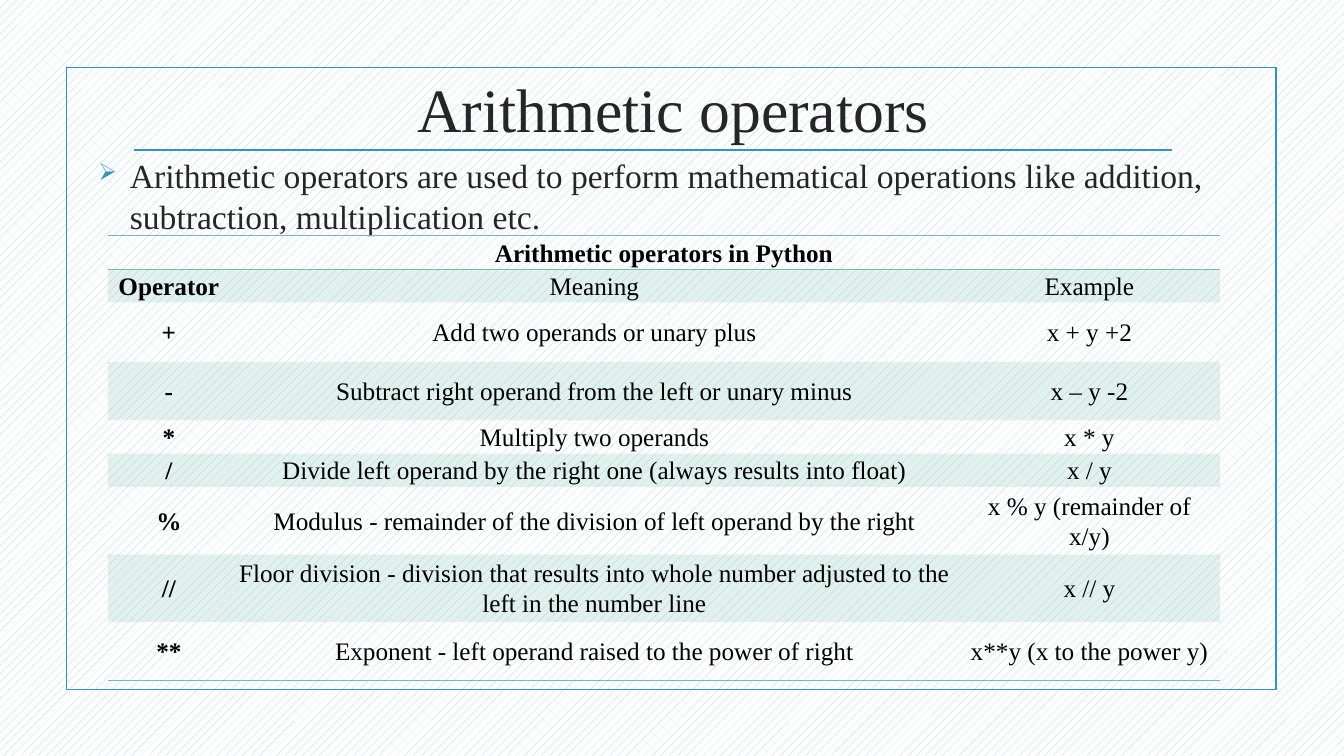
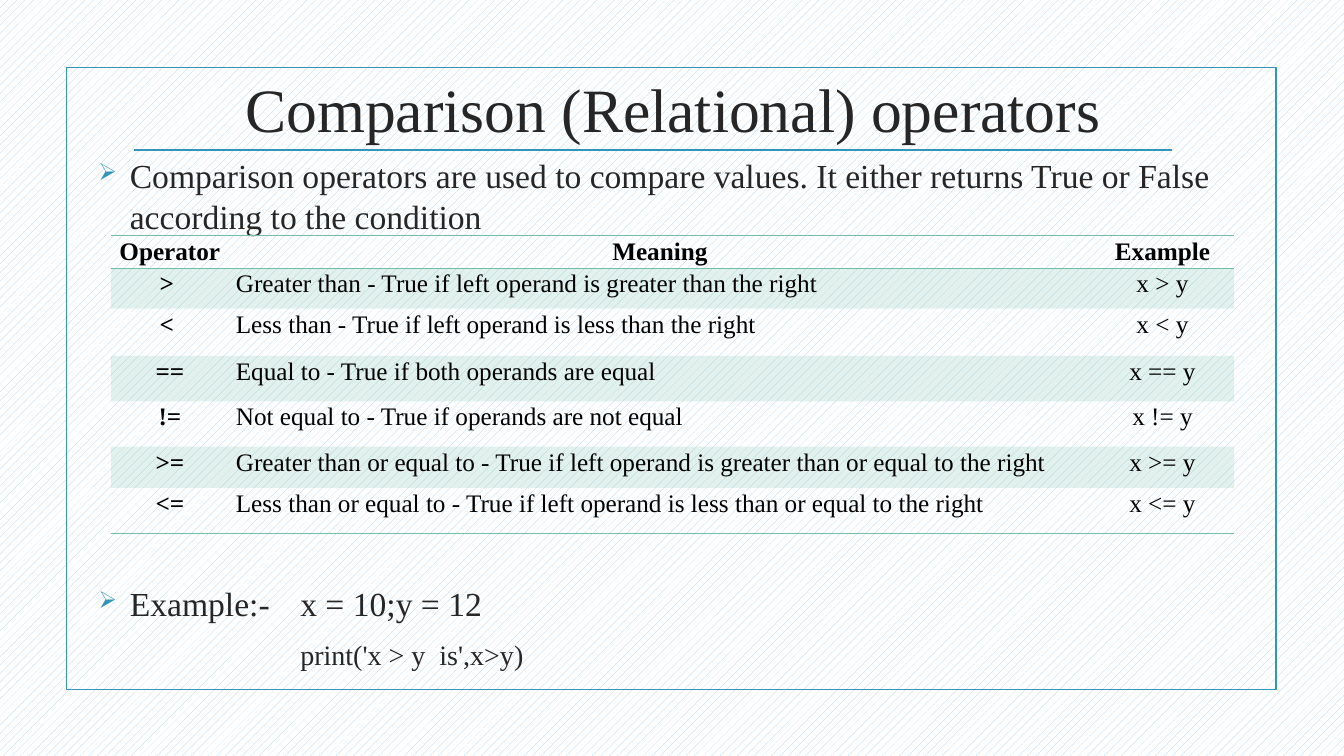
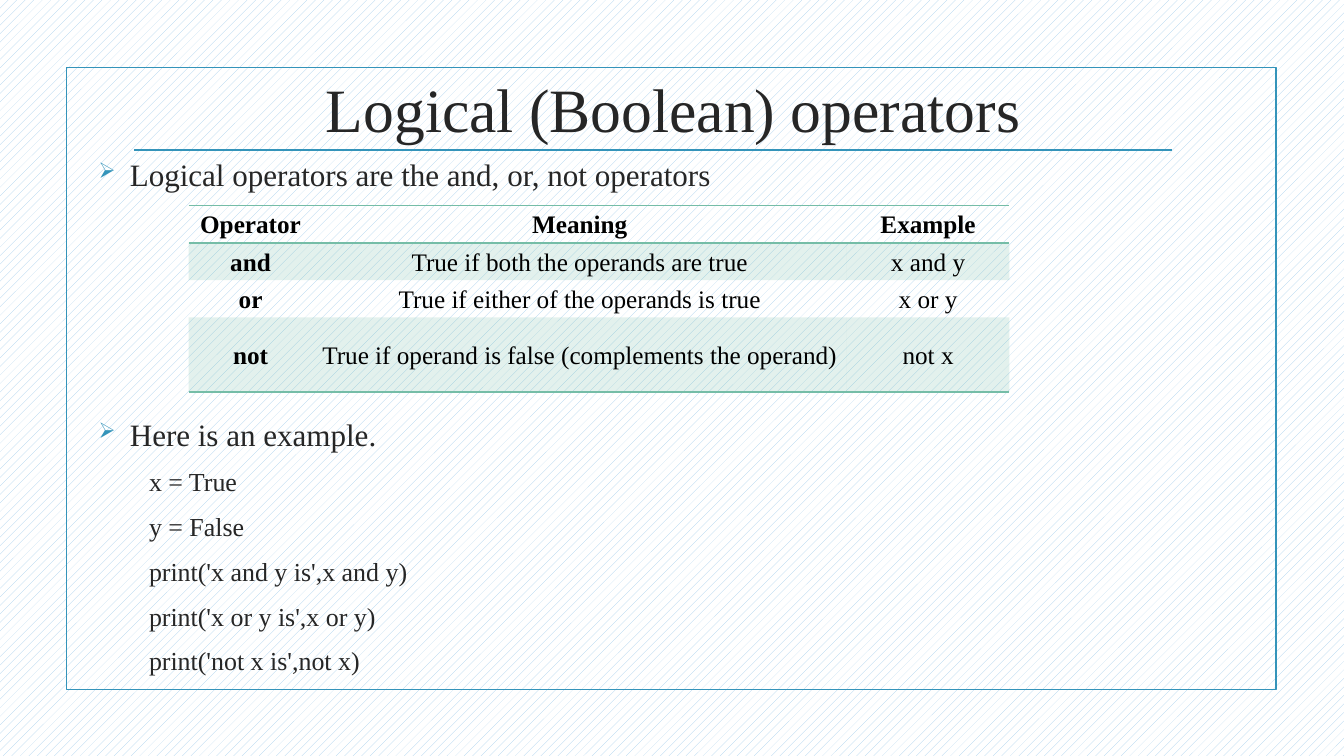
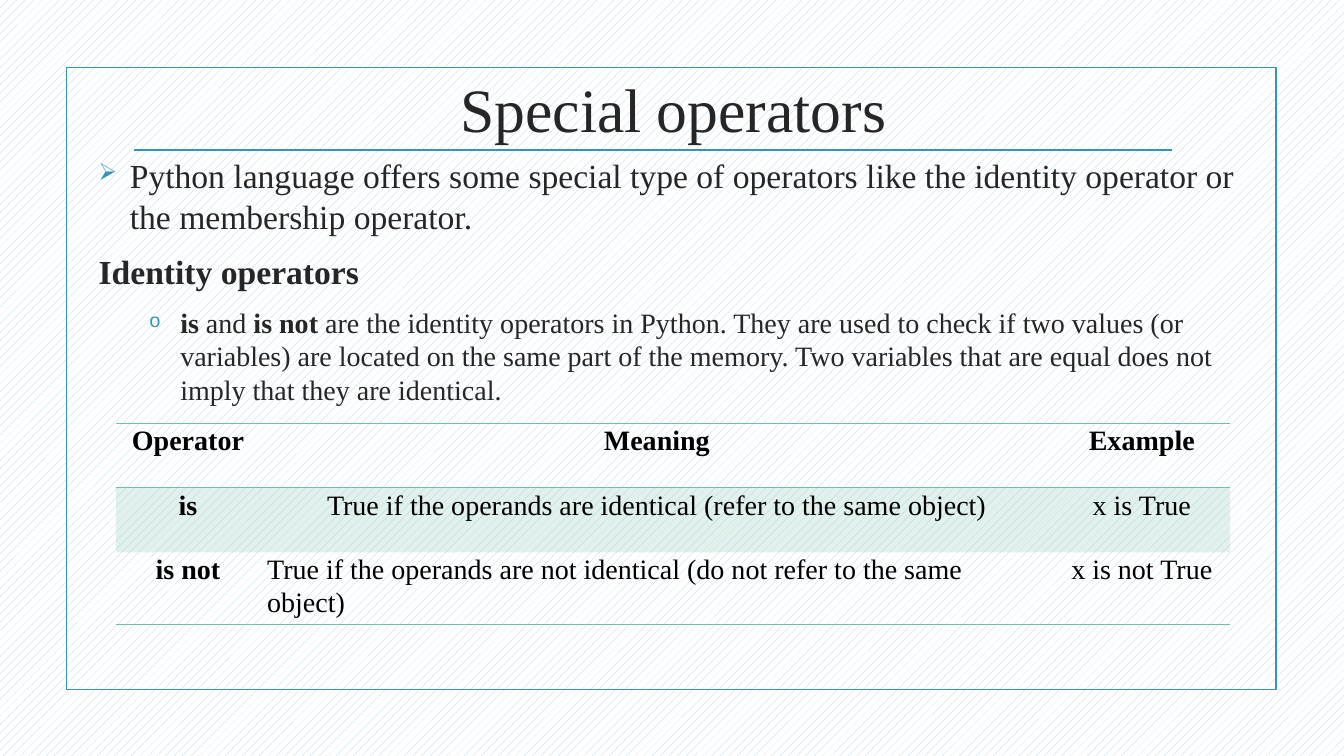
from lxml.etree import SubElement
from pptx import Presentation
from pptx.dml.color import RGBColor
from pptx.enum.dml import MSO_PATTERN
from pptx.enum.shapes import MSO_CONNECTOR, MSO_SHAPE
from pptx.enum.text import MSO_ANCHOR, PP_ALIGN
from pptx.oxml.ns import qn
from pptx.util import Inches, Pt

BLUE = RGBColor(0x34, 0x94, 0xBA)
PALE_BLUE = RGBColor(0xA3, 0xCE, 0xED)
GREEN = RGBColor(0x75, 0xBD, 0xA7)
DARK = RGBColor(0x26, 0x26, 0x26)
BLACK = RGBColor(0, 0, 0)
WHITE = RGBColor(0xFF, 0xFF, 0xFF)
FONT = "Times New Roman"
NO_STYLE = "{2D5ABB26-0587-4C30-8999-92F81FD0307C}"
ARROW = "➢"
HEADINGS = ("Operator", "Meaning", "Example")


class Deck:
    def __init__(self):
        self.presentation = Presentation()
        self.presentation.slide_width = Inches(13.33)
        self.presentation.slide_height = Inches(7.5)
        fill = self.presentation.slide_master.background.fill
        fill.patterned()
        fill.pattern = MSO_PATTERN.PERCENT_20
        fill.fore_color.rgb = PALE_BLUE
        fill.back_color.rgb = WHITE

    def add_slide(self, title):
        self.slide = self.presentation.slides.add_slide(self.presentation.slide_layouts[6])
        self.add_frame()
        self.add_rule()
        text_frame = self.add_text_box(0.64, 0.85)
        text_frame.vertical_anchor = MSO_ANCHOR.MIDDLE
        paragraph = text_frame.paragraphs[0]
        paragraph.text = title
        paragraph.alignment = PP_ALIGN.CENTER
        self.format_runs(paragraph, 44, DARK)
        self.body = self.add_text_box(1.49, 5.2)
        self.body_started = False

    def add_frame(self):
        frame = self.slide.shapes.add_shape(
            MSO_SHAPE.RECTANGLE, Inches(0.66), Inches(0.67), Inches(12), Inches(6.17))
        frame.shadow.inherit = False
        frame.fill.background()
        frame.line.color.rgb = BLUE
        frame.line.width = Pt(1.25)

    def add_rule(self):
        rule = self.slide.shapes.add_connector(
            MSO_CONNECTOR.STRAIGHT, Inches(1.33), Inches(1.49), Inches(11.62), Inches(1.49))
        rule.line.color.rgb = BLUE
        rule.line.width = Pt(1.25)
        SubElement(rule._element.spPr, qn("a:effectLst"))

    def add_text_box(self, top, height):
        box = self.slide.shapes.add_textbox(
            Inches(0.88), Inches(top), Inches(11.6), Inches(height))
        box.text_frame.word_wrap = True
        return box.text_frame

    def format_runs(self, paragraph, size, color, bold=None):
        for run in paragraph.runs:
            run.font.name = FONT
            run.font.size = Pt(size)
            run.font.color.rgb = color
            if bold is not None:
                run.font.bold = bold

    def add_paragraph(self, parts, size, bullet=None, margin=0, before=None):
        paragraph = self.body.add_paragraph() if self.body_started else self.body.paragraphs[0]
        self.body_started = True
        for text, bold in parts:
            run = paragraph.add_run()
            run.text = text
            run.font.bold = bold
        self.format_runs(paragraph, size, DARK)
        paragraph.space_before = Pt(size * 0.2 if before is None else before)
        paragraph.space_after = Pt(6)
        properties = paragraph._p.get_or_add_pPr()
        properties.set("marL", str(Inches(margin)))
        properties.set("indent", str(Inches(-0.31 if bullet else 0)))
        if bullet:
            color = SubElement(properties, qn("a:buClr"))
            SubElement(color, qn("a:srgbClr"), val=str(BLUE))
            SubElement(properties, qn("a:buSzPct"), val="70000")
            if bullet == "o":
                SubElement(properties, qn("a:buFont"), typeface="Courier New")
            SubElement(properties, qn("a:buChar"), char=bullet)

    def add_point(self, text, size=24, before=None):
        self.add_paragraph([(text, False)], size, ARROW, 0.31, before)

    def add_code(self, text, size, margin):
        self.add_paragraph([(text, False)], size, margin=margin)

    def add_table(self, left, top, widths, heights, rows, size=18,
                  anchor=MSO_ANCHOR.MIDDLE, left_rows=()):
        table = self.slide.shapes.add_table(
            len(rows), len(widths), Inches(left), Inches(top),
            Inches(sum(widths)), Inches(sum(heights))).table
        table.first_row = False
        table.horz_banding = False
        table._tbl.tblPr.find(qn("a:tableStyleId")).text = NO_STYLE
        for column, width in zip(table.columns, widths):
            column.width = Inches(width)
        for row, height in zip(table.rows, heights):
            row.height = Inches(height)
        for row_index, texts in enumerate(rows):
            sides = ["lnT", "lnB"] if row_index == 0 else []
            if row_index == len(rows) - 1:
                sides = ["lnB"]
            for column_index, text in enumerate(texts):
                cell = table.cell(row_index, column_index)
                self.style_cell(cell, sides, row_index % 2 == 1)
                cell.vertical_anchor = anchor
                paragraph = cell.text_frame.paragraphs[0]
                paragraph.text = text
                paragraph.line_spacing = 1.07
                aligned_left = column_index == 1 and row_index in left_rows
                paragraph.alignment = PP_ALIGN.LEFT if aligned_left else PP_ALIGN.CENTER
                self.format_runs(paragraph, size, BLACK, row_index == 0 or column_index == 0)
        return table

    def style_cell(self, cell, sides, banded):
        cell.margin_left = cell.margin_right = Inches(0.07)
        cell.margin_top = cell.margin_bottom = 0
        properties = cell._tc.get_or_add_tcPr()
        for side in sides:
            line = SubElement(properties, qn("a:" + side), w=str(Pt(1)))
            fill = SubElement(line, qn("a:solidFill"))
            SubElement(fill, qn("a:srgbClr"), val=str(GREEN))
        if banded:
            cell.fill.solid()
            cell.fill.fore_color.rgb = GREEN
            color = properties.find(qn("a:solidFill")).find(qn("a:srgbClr"))
            SubElement(color, qn("a:alpha"), val="20000")
        else:
            cell.fill.background()


def add_arithmetic(deck):
    deck.add_slide("Arithmetic operators")
    deck.add_point("Arithmetic operators are used to perform mathematical operations "
                   "like addition, subtraction, multiplication etc.")
    rows = [
        ("Arithmetic operators in Python", "", ""),
        HEADINGS,
        ("+", "Add two operands or unary plus", "x + y +2"),
        ("-", "Subtract right operand from the left or unary minus", "x – y -2"),
        ("*", "Multiply two operands", "x * y"),
        ("/", "Divide left operand by the right one (always results into float)", "x / y"),
        ("%", "Modulus - remainder of the division of left operand by the right",
         "x % y (remainder of x/y)"),
        ("//", "Floor division - division that results into whole number adjusted "
         "to the left in the number line", "x // y"),
        ("**", "Exponent - left operand raised to the power of right",
         "x**y (x to the power y)"),
    ]
    heights = [0.33, 0.33, 0.59, 0.58, 0.33, 0.33, 0.67, 0.67, 0.58]
    table = deck.add_table(1.07, 2.34, [1.21, 7.23, 2.59], heights, rows)
    table.cell(0, 0).merge(table.cell(0, 2))


def add_comparison(deck):
    deck.add_slide("Comparison (Relational) operators")
    deck.add_point("Comparison operators are used to compare values. It either returns "
                   "True or False according to the condition")
    deck.add_point("Example:-\tx = 10;y = 12", before=242)
    deck.add_code("print('x > y  is',x>y)", 20, 2)
    rows = [
        HEADINGS,
        ("> ", "Greater than - True if left operand is greater than the right", "x > y"),
        ("< ", "Less than - True if left operand is less than the right", "x < y"),
        ("==", "Equal to - True if both operands are equal", "x == y"),
        ("!=", "Not equal to - True if operands are not equal", "x != y"),
        (">=", "Greater than or equal to - True if left operand is greater than "
         "or equal to the right", "x >= y"),
        ("<=", "Less than or equal to - True if left operand is less than "
         "or equal to the right", "x <= y"),
    ]
    heights = [0.32, 0.4, 0.47, 0.45, 0.45, 0.41, 0.45]
    deck.add_table(1.1, 2.34, [1.17, 8.55, 1.42], heights, rows,
                   anchor=MSO_ANCHOR.TOP, left_rows=range(1, 7))


def add_logical(deck):
    deck.add_slide("Logical (Boolean) operators")
    deck.add_point("Logical operators are the and, or, not operators", 22.2)
    deck.add_point("Here is an example.", 22.2, before=153)
    for code in ("x = True", "y = False", "print('x and y is',x and y)",
                 "print('x or y is',x or y)", "print('not x is',not x)"):
        deck.add_code(code, 18.5, 0.5)
    rows = [
        HEADINGS,
        ("and", "True if both the operands are true", "x and y"),
        ("or", "True if either of the operands is true", "x or y"),
        ("not", "True if operand is false (complements the operand)", "not x"),
    ]
    deck.add_table(1.87, 2.04, [1.23, 5.3, 1.61], [0.37, 0.37, 0.37, 0.74], rows)


def add_special(deck):
    deck.add_slide("Special operators")
    deck.add_point("Python language offers some special type of operators like the "
                   "identity operator or the membership operator.")
    deck.add_paragraph([("Identity operators", True)], 24)
    deck.add_paragraph([
        ("is ", True), ("and ", False), ("is not", True),
        (" are the identity operators in Python. They are used to check if two values "
         "(or variables) are located on the same part of the memory. Two variables that "
         "are equal does not imply that they are identical.", False),
    ], 20, "o", 0.81)
    rows = [
        HEADINGS,
        ("is", "True if the operands are identical (refer to the same object)", "x is True"),
        ("is not", "True if the operands are not identical (do not refer to the same object)",
         "x is not True"),
    ]
    deck.add_table(1.15, 4.2, [1.43, 7.87, 1.75], [0.64, 0.64, 0.7], rows,
                   size=20, anchor=MSO_ANCHOR.TOP, left_rows=(2,))


def main():
    deck = Deck()
    add_arithmetic(deck)
    add_comparison(deck)
    add_logical(deck)
    add_special(deck)
    deck.presentation.save("out.pptx")


if __name__ == "__main__":
    main()
